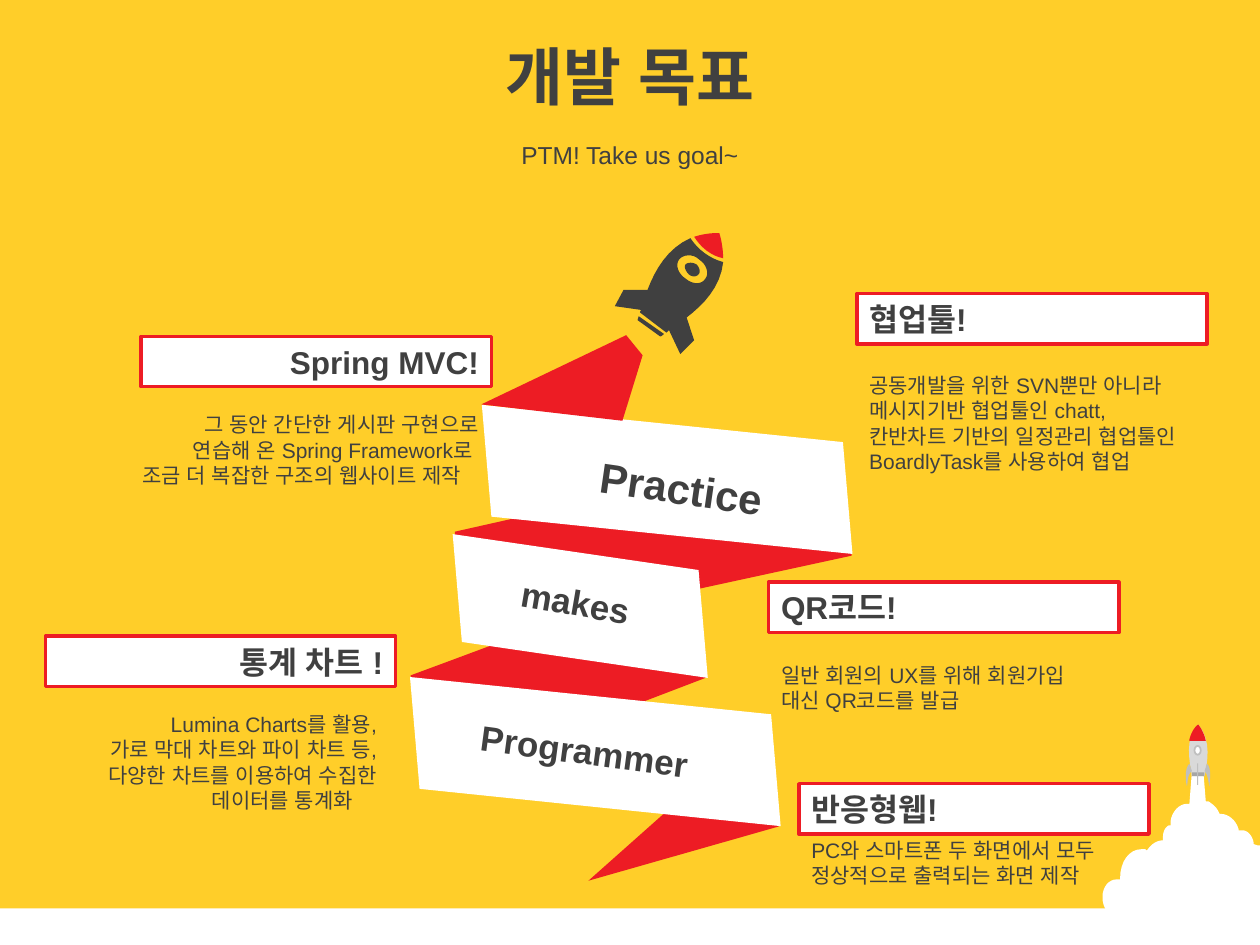
from lxml import etree
from pptx import Presentation
from pptx.dml.color import RGBColor
from pptx.enum.shapes import MSO_SHAPE
from pptx.enum.text import MSO_ANCHOR, PP_ALIGN
from pptx.oxml.ns import qn
from pptx.util import Pt

RECT, OVAL, SLANT = MSO_SHAPE.RECTANGLE, MSO_SHAPE.OVAL, MSO_SHAPE.PARALLELOGRAM
LEFT, CENTER, RIGHT = PP_ALIGN.LEFT, PP_ALIGN.CENTER, PP_ALIGN.RIGHT
TOP, MIDDLE = MSO_ANCHOR.TOP, MSO_ANCHOR.MIDDLE
PX = 9144
FONT = "Arial"
YELLOW, RED, DARK, WHITE = "FFCE29", "ED1C24", "404040", "FFFFFF"
PALE, SILVER, GREY = "D9D9D9", "BFBFBF", "A6A6A6"

CLOUD = """M 71,37 L 80,37 82,61 84,61 C 87,63 90,65 92,69 L 93,71 94,71
C 100,71 106,76 108,83 L 108,84 109,84 C 109,84 110,84 111,84 115,84 119,88 120,94
L 120,95 123,96 125,96 125,171 123,171 C 119,171 115,170 112,167 L 111,166 110,167
C 108,169 106,170 103,170 100,170 98,168 96,166 L 94,164
C 92,168 89,171 85,171 82,171 79,169 77,167 L 76,165 74,167
C 70,171 65,173 59,173 48,173 42,166 38,160 36,162 32,164 29,163 25,161 19,158 18,151
L 18,149 17,150 C 16,151 14,152 11,152 5,152 0,146 0,137 0,129 5,123 11,123
12,123 13,123 13,123 L 14,123 14,122 C 14,109 21,99 31,99 32,99 33,99 34,99
L 35,100 36,99 C 39,95 43,92 48,92 L 48,91 C 48,90 48,90 48,89 48,85 50,81 53,80
L 54,80 54,77 C 55,69 61,63 67,63 L 69,63"""
HULL = "M 71,41 C 69,28 65,12 76,0 87,13 83,31 81,41"
HULL_NOSE = "M 76,0 C 79,4 81,8 82,13 L 69,13 69,12 C 70,8 72,3 76,0"
FINS = ("M 69,31 L 71,37 C 67,40 68,46 67,49 66,45 65,35 69,31",
        "M 83,31 L 81,37 C 84,40 84,46 85,49 85,45 87,35 83,31")
ROCKET = """M 19,68 L 39,82 C 38,83 37,84 36,84 L 18,71
M 65,27 C 67,29 68,32 67,34 65,37 62,37 59,35 56,32 55,29 56,27 58,25 62,25 65,27
M 67,23 C 62,18 54,19 51,23 48,27 50,34 56,38 62,43 69,43 72,38 75,34 73,27 67,23
M 60,6 C 66,15 75,22 86,25 84,45 70,59 57,69 L 63,87 52,98 43,79 41,81 20,65
C 20,65 20,64 21,63 L 0,60 7,47 26,47 C 32,31 42,14 60,6"""
ROCKET_NOSE = "M 83,2 C 85,9 86,16 86,22 76,20 68,13 63,5 69,3 75,2 83,2"
FOLDS = ("M 292,390 L 141,433 285,305",
         "M 226,186 C 179,203 76,242 0,270 L 9,358 234,272 226,186",
         "M 35,156 L 342,87 350,175 41,242")
TOP_FOLD = "M 171,0 L 56,55 168,68 184,16"
PANELS = ((132, -27, 143, 283, 0.377), (69, 119, 131, 192, 0.344),
          (75, 189, 143, 283, 0.377))
WORDS = (("Practice", 114, 80, 24, 8.3), ("makes", 30, 171, 20, 9.7),
         ("Programmer", 37, 289, 20, 7.6))

GOALS = (
    (634, 622, 38, 278, LEFT, "반응형웹!",
     [("PC와 스마트폰 두 화면에서 모두 정상적으로 출력되는 화면 제작", 0)]),
    (112, 267, 55, 323, RIGHT, "Spring MVC!",
     [("그 동안 간단한 게시판 구현으로", 0), ("연습해 온 Spring Framework로", 5),
      ("조금 더 복잡한 구조의 웹사이트 제작", 14)]),
    (36, 505, 55, 278, RIGHT, "통계 차트 !",
     [("Lumina Charts를 활용,", 5), ("가로 막대 차트와 파이 차트 등,", 5),
      ("다양한 차트를 이용하여 수집한", 5), ("데이터를 통계화", 24)]),
    (610, 462, 59, 278, LEFT, "QR코드!",
     [("일반 회원의 UX를 위해 회원가입 대신 QR코드를 발급", 0)]),
    (680, 233, 58, 278, LEFT, "협업툴!",
     [("공동개발을 위한 SVN뿐만 아니라", 0), ("메시지기반 협업툴인 chatt,", 0),
      ("칸반차트 기반의 일정관리 협업툴인 BoardlyTask를 사용하여 협업", 0)]),
)


def rgb(color):
    """Turn a hex string into a colour."""
    return RGBColor.from_string(color)


def box(x, y, w, h):
    """Turn a px box into EMU lengths."""
    return [v * PX for v in (x, y, w, h)]


def paint(sp, fill, line=None, width=1):
    """Give a shape a flat fill and an optional outline."""
    sp.shadow.inherit = False
    sp.fill.solid()
    sp.fill.fore_color.rgb = rgb(fill)
    if line:
        sp.line.color.rgb = rgb(line)
        sp.line.width = Pt(width)
    else:
        sp.line.fill.background()
    return sp


def add_shape(slide, kind, frame, fill, line=None, width=1):
    """Add a painted preset shape."""
    return paint(slide.shapes.add_shape(kind, *box(*frame)), fill, line, width)


def contours(d):
    """Turn M, L and C commands into lists of points, flattening the curves."""
    result, pending, command = [], [], ""
    for token in d.split():
        if token in "MLC":
            command = token
            continue
        point = tuple(int(v) for v in token.split(","))
        if command == "M":
            result.append([point])
        elif command == "L":
            result[-1].append(point)
        else:
            pending.append(point)
            if len(pending) == 3:
                knots = list(zip(result[-1][-1], *pending))
                for t in (i / 8 for i in range(1, 9)):
                    u = 1 - t
                    result[-1].append(tuple(
                        a * u**3 + 3 * b * u * u * t + 3 * c * u * t * t + e * t**3
                        for a, b, c, e in knots))
                pending = []
    return result


def add_outline(slide, x, y, d, fill):
    """Add a filled outline whose points are relative to x, y."""
    first, *others = [[((x + a) * PX, (y + b) * PX) for a, b in points]
                      for points in contours(d)]
    fb = slide.shapes.build_freeform(*first[0], scale=1.0)
    fb.add_line_segments(first[1:], close=True)
    for points in others:
        fb.move_to(*points[0])
        fb.add_line_segments(points[1:], close=True)
    return paint(fb.convert_to_shape(), fill)


def set_text(sp, lines, size, bold=False, align=CENTER, anchor=MIDDLE):
    """Write and format paragraphs given as text and right indent."""
    tf = sp.text_frame
    tf.word_wrap = True
    tf.vertical_anchor = anchor
    tf.text = "\n".join(text for text, _ in lines)
    for p, (_, indent) in zip(tf.paragraphs, lines):
        p.alignment = align
        if indent:
            p._p.get_or_add_pPr().set("marR", str(indent * PX))
        for r in p.runs:
            r.font.name, r.font.size, r.font.bold = FONT, Pt(size), bold
            r.font.color.rgb = rgb(DARK)
            etree.SubElement(r._r.get_or_add_rPr(), qn("a:ea"), typeface=FONT)


def add_text(slide, frame, lines, size, **style):
    """Add a formatted text box."""
    sp = slide.shapes.add_textbox(*box(*frame))
    set_text(sp, lines, size, **style)
    return sp


def add_heading(slide, x, y, w):
    """Place the title and the line under it."""
    title = slide.shapes.title
    title.left, title.top, title.width, title.height = box(x, y, w, 84)
    set_text(title, [("개발 목표", 0)], 36, bold=True)
    add_text(slide, (x, y + 84, w, 42), [("PTM! Take us goal~", 0)], 14)


def add_launch(slide, x, y):
    """Draw the small rocket rising from its cloud."""
    add_outline(slide, x, y, CLOUD, WHITE)
    add_outline(slide, x, y, HULL, PALE)
    add_shape(slide, RECT, (x + 71, y + 38, 10, 3), GREY)
    add_outline(slide, x, y, HULL_NOSE, RED)
    add_shape(slide, OVAL, (x + 73, y + 17, 5, 7), WHITE, SILVER)
    add_shape(slide, RECT, (x + 75, y + 31, 1, 17), SILVER)
    for fin in FINS:
        add_outline(slide, x, y, fin, SILVER)


def add_rocket(slide, x, y):
    """Draw the large rocket."""
    add_outline(slide, x, y, ROCKET, DARK)
    add_outline(slide, x, y, ROCKET_NOSE, RED)


def add_ribbon(slide, x, y):
    """Draw the folded ribbon with one word on each panel."""
    for fold in FOLDS:
        add_outline(slide, x, y, fold, RED)
    for dx, dy, w, h, slant in PANELS:
        sp = add_shape(slide, SLANT, (x + dx, y + dy, w, h), WHITE)
        sp.adjustments[0] = slant
        sp.rotation = 85.1
    add_outline(slide, x, y, TOP_FOLD, RED)
    for word, dx, dy, size, angle in WORDS:
        sp = add_text(slide, (x + dx, y + dy, 202, 78), [(word, 0)], size, bold=True)
        sp.text_frame.paragraphs[0].line_spacing = 1.1
        sp.rotation = angle


def add_goal(slide, x, y, gap, width, align, label, lines):
    """Place a framed label with its description below."""
    left = x + 278 - width if align == RIGHT else x
    add_text(slide, (left, y + gap, width, 10 + 20 * len(lines)), lines, 12,
             align=align, anchor=TOP)
    sp = add_shape(slide, RECT, (x, y, 278, 40), WHITE, RED, 2)
    set_text(sp, [(label, 0)], 18, bold=True, align=align)


def main():
    """Build the slide and save it."""
    prs = Presentation()
    prs.slide_width, prs.slide_height = 1000 * PX, 750 * PX
    slide = prs.slides.add_slide(prs.slide_layouts[5])
    slide.background.fill.solid()
    slide.background.fill.fore_color.rgb = rgb(YELLOW)
    add_shape(slide, RECT, (0, 721, 1000, 29), WHITE)
    add_launch(slide, 875, 575)
    add_heading(slide, 0, 18, 1000)
    add_rocket(slide, 488, 183)
    add_ribbon(slide, 326, 266)
    for goal in GOALS:
        add_goal(slide, *goal)
    prs.save("out.pptx")


if __name__ == "__main__":
    main()
